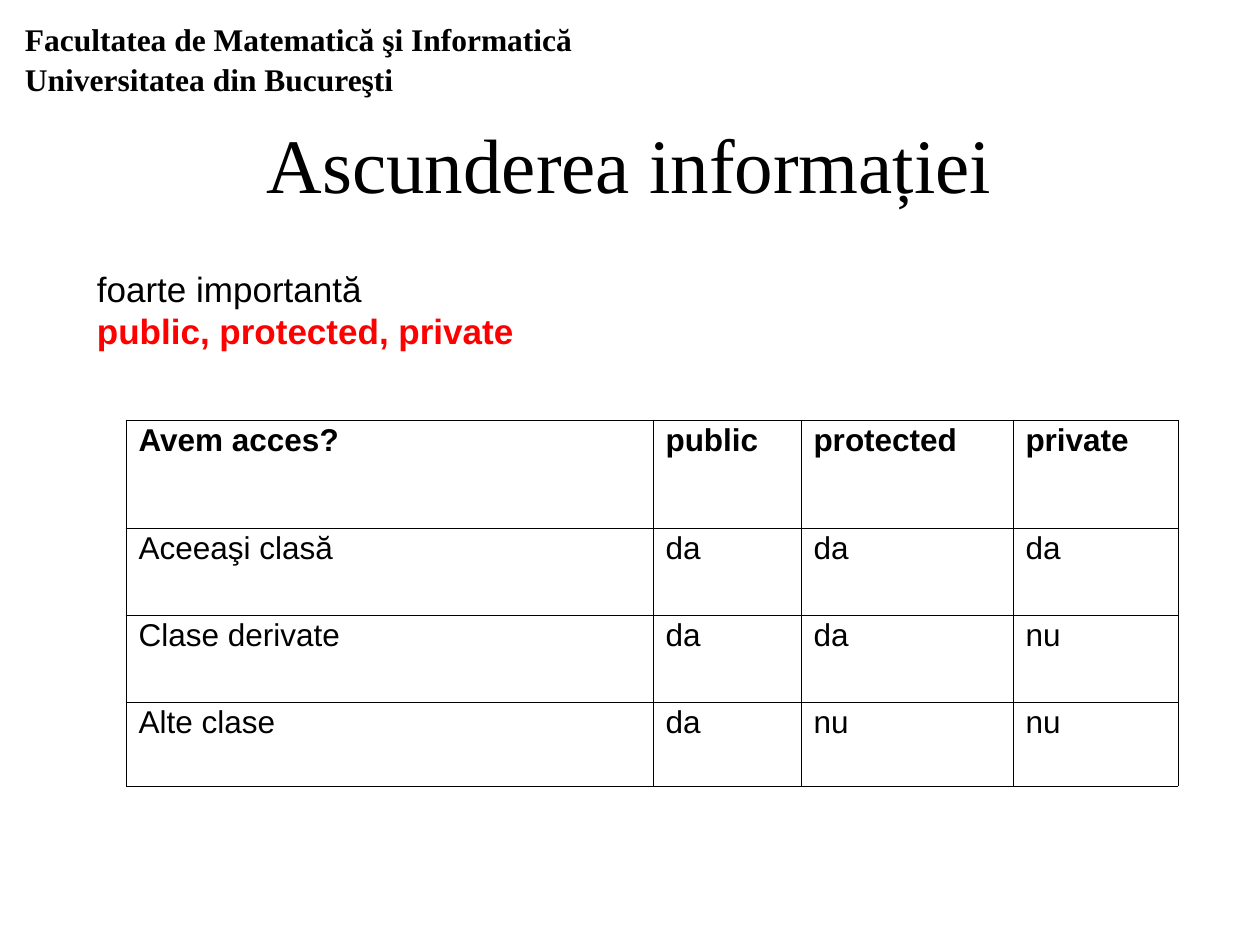
from lxml import etree
from pptx import Presentation
from pptx import util as u
from pptx.dml.color import RGBColor
from pptx.enum import text
from pptx.oxml.ns import qn

PX = 914400 // 126
BLACK = RGBColor(0, 0, 0)
RED = RGBColor(255, 0, 0)
SERIF, SANS = "Times New Roman", "Arial"

ACCESS = [
    ("Avem acces?", "public", "protected", "private"),
    ("Aceeaşi clasă", "da", "da", "da"),
    ("Clase derivate", "da", "da", "nu"),
    ("Alte clase", "da", "nu", "nu"),
]
COLUMN_WIDTHS = (527, 148, 212, 165)
ROW_HEIGHTS = (108, 87, 87, 84)


def px(*lengths):
    """Turn pixel lengths into EMU."""
    return [u.Emu(length * PX) for length in lengths]


def write(paragraph, words, size=18, font=SANS, color=BLACK, bold=False,
          align=text.PP_ALIGN.LEFT, spacing=None):
    """Put one formatted run into a paragraph."""
    paragraph.alignment = align
    paragraph.line_spacing = spacing
    run = paragraph.add_run()
    run.text = words
    run.font.size = u.Pt(size)
    run.font.name = font
    run.font.bold = bold
    run.font.color.rgb = color


def text_frame(slide, box, insets=(13, 6), anchor=text.MSO_ANCHOR.TOP):
    """Add a wrapping text box and return its frame."""
    frame = slide.shapes.add_textbox(*px(*box)).text_frame
    frame.word_wrap = True
    frame.vertical_anchor = anchor
    frame.margin_left = frame.margin_right = px(insets[0])[0]
    frame.margin_top = frame.margin_bottom = px(insets[1])[0]
    return frame


def add_title(slide, box):
    """Place the centred title."""
    frame = text_frame(slide, box, anchor=text.MSO_ANCHOR.MIDDLE)
    write(frame.paragraphs[0], "Ascunderea informației", size=44, font=SERIF,
          align=text.PP_ALIGN.CENTER)


def add_institution(slide, box):
    """Place the faculty heading, which wraps onto two lines."""
    frame = text_frame(slide, box, insets=(14, 8))
    write(frame.paragraphs[0],
          "Facultatea de Matematică şi Informatică Universitatea din Bucureşti",
          font=SERIF, bold=True, spacing=1.04)


def add_modifiers(slide, box):
    """Place the remark and the list of access modifiers."""
    frame = text_frame(slide, box)
    write(frame.paragraphs[0], "foarte importantă", size=20)
    write(frame.add_paragraph(), "public, protected, private", size=20,
          color=RED, bold=True)


def outline(cell):
    """Draw a thin black border on all four sides of a cell."""
    properties = cell._tc.get_or_add_tcPr()
    for position, side in enumerate(("a:lnL", "a:lnR", "a:lnT", "a:lnB")):
        line = etree.Element(qn(side), w=str(u.Pt(0.45)))
        fill = etree.SubElement(line, qn("a:solidFill"))
        etree.SubElement(fill, qn("a:srgbClr"), val=str(BLACK))
        properties.insert(position, line)


def add_access_table(slide, left, top):
    """Place the table of access rights."""
    table = slide.shapes.add_table(
        len(ROW_HEIGHTS), len(COLUMN_WIDTHS),
        *px(left, top, sum(COLUMN_WIDTHS), sum(ROW_HEIGHTS))).table
    table.horz_banding = False
    for column, width in zip(table.columns, px(*COLUMN_WIDTHS)):
        column.width = width
    for row, height, entries in zip(table.rows, px(*ROW_HEIGHTS), ACCESS):
        row.height = height
        for cell, entry in zip(row.cells, entries):
            cell.fill.background()
            outline(cell)
            write(cell.text_frame.paragraphs[0], entry,
                  bold=entries is ACCESS[0], spacing=0.89)


def build():
    """Build and save the slide."""
    deck = Presentation()
    deck.slide_width, deck.slide_height = px(1260, 945)
    slide = deck.slides.add_slide(deck.slide_layouts[6])
    add_title(slide, (94, 84, 1071, 158))
    add_institution(slide, (11, 11, 694, 91))
    add_modifiers(slide, (84, 262, 706, 126))
    add_access_table(slide, 126, 420)
    deck.save("out.pptx")


build()
